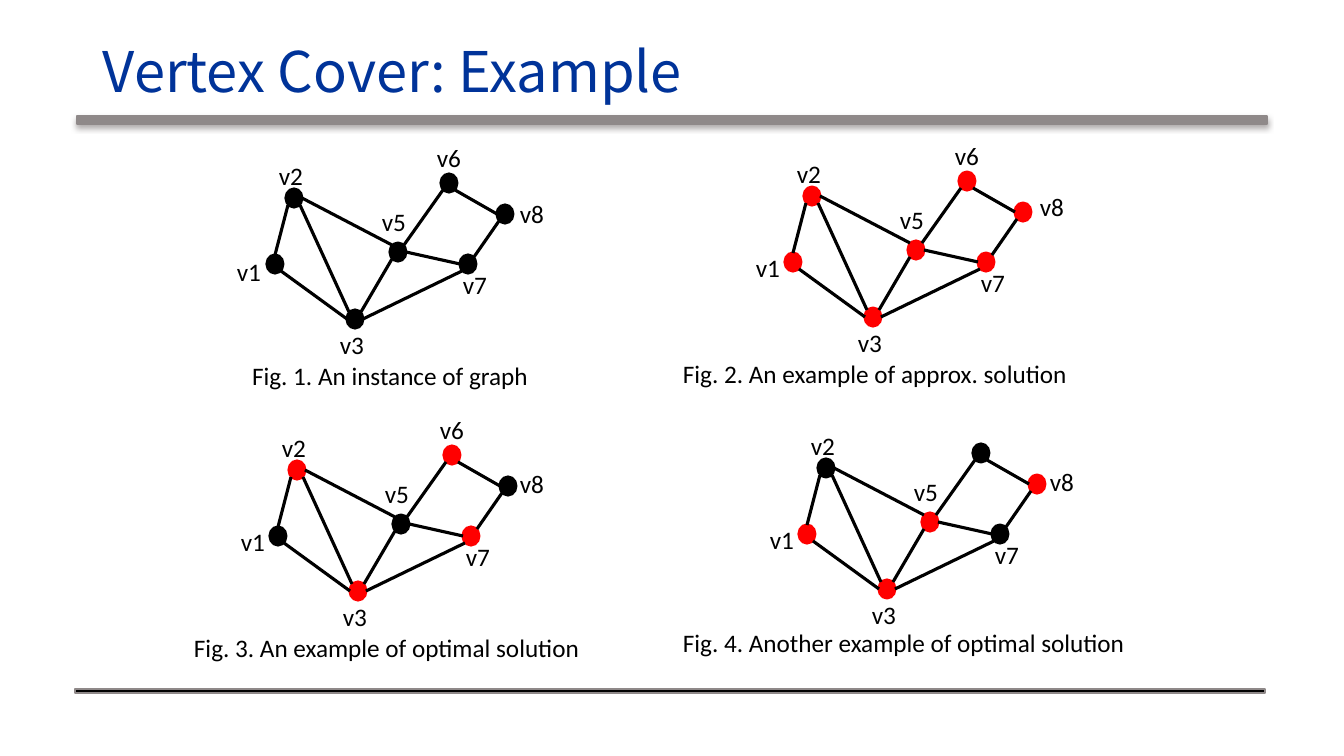
"""Build the slide that shows four vertex cover figures of one graph."""
from dataclasses import dataclass
from typing import NamedTuple

from lxml.etree import SubElement
from pptx import Presentation
from pptx.dml.color import RGBColor
from pptx.enum.shapes import MSO_CONNECTOR as Connector, MSO_SHAPE as Preset
from pptx.enum.text import MSO_ANCHOR as Anchor, PP_ALIGN as Align
from pptx.oxml.ns import qn
from pptx.shapes.autoshape import Shape
from pptx.util import Emu, Pt

EMU_PER_PIXEL = 914400 / 100.8
BLACK, RED, GREY, NAVY, SHADOW = "000000", "FF0000", "8F8989", "003399", "AFABAB"
NODE_WIDTH, NODE_HEIGHT = 17, 19


class Point(NamedTuple):
    x: int
    y: int

    def shifted(self, offset: "Point") -> "Point":
        return Point(self.x + offset.x, self.y + offset.y)


class Edge(NamedTuple):
    start: str
    start_site: str
    end: str
    end_site: str


@dataclass(frozen=True)
class Figure:
    origin: Point
    cover: set[str]
    labels: dict[str, Point]
    caption: str
    caption_at: Point
    caption_width: int
    align: Align = Align.LEFT


NODES = {
    "v1": Point(-19, 66), "v2": Point(0, 0), "v3": Point(61, 121), "v5": Point(104, 54),
    "v6": Point(155, -15), "v7": Point(174, 66), "v8": Point(211, 16),
}
SITES = {
    "top": Point(0, -9), "left": Point(-8, 0), "right": Point(8, 0),
    "top left": Point(-6, -7), "top right": Point(6, -7),
    "bottom left": Point(-6, 7), "bottom right": Point(6, 7),
}
EDGES = [
    Edge("v2", "right", "v5", "top left"),
    Edge("v2", "bottom left", "v1", "top"),
    Edge("v1", "bottom right", "v3", "left"),
    Edge("v5", "bottom left", "v3", "top right"),
    Edge("v2", "bottom right", "v3", "top left"),
    Edge("v3", "right", "v7", "bottom left"),
    Edge("v5", "right", "v7", "left"),
    Edge("v5", "top right", "v6", "bottom left"),
    Edge("v6", "bottom right", "v8", "left"),
    Edge("v8", "bottom left", "v7", "top right"),
]
SHARED_LABELS = {
    "v2": Point(-25, -43), "v3": Point(36, 126), "v5": Point(78, 3), "v7": Point(159, 66),
}
V6_LABEL = {"v6": Point(133, -61)}
FIGURES = [
    Figure(Point(294, 198), set(),
           {"v1": Point(-67, 53), "v8": Point(216, -5)} | V6_LABEL,
           "Fig. 1. An instance of graph", Point(191, 355), 398, Align.CENTER),
    Figure(Point(812, 196), set(NODES),
           {"v1": Point(-66, 51), "v8": Point(218, -10)} | V6_LABEL,
           "Fig. 2. An example of approx. solution", Point(673, 353), 418),
    Figure(Point(297, 470), {"v2", "v3", "v6", "v7"},
           {"v1": Point(-66, 51), "v8": Point(213, -7)} | V6_LABEL,
           "Fig. 3. An example of optimal solution", Point(184, 627), 418),
    Figure(Point(826, 468), {"v1", "v3", "v5", "v8"},
           {"v1": Point(-66, 51), "v8": Point(214, -7)},
           "Fig. 4. Another example of optimal solution", Point(673, 622), 490),
]


def px(pixels: float) -> Emu:
    return Emu(round(pixels * EMU_PER_PIXEL))


def rgb(color: str) -> RGBColor:
    return RGBColor.from_string(color)


def add_text(text: str, at: Point, width: int, height: int = 40, *, size: int = 18,
             font: str = "Calibri", color: str = BLACK, align: Align = Align.LEFT,
             anchor: Anchor = Anchor.TOP, spacing: float = 1.0) -> None:
    frame = slide.shapes.add_textbox(px(at.x), px(at.y), px(width), px(height)).text_frame
    frame.word_wrap = True
    frame.vertical_anchor = anchor
    paragraph = frame.paragraphs[0]
    paragraph.alignment = align
    paragraph.line_spacing = spacing
    run = paragraph.add_run()
    run.text = text
    run.font.size = Pt(size)
    run.font.name = font
    run.font.color.rgb = rgb(color)
    east_asian = SubElement(run.font._element, qn("a:ea"))
    east_asian.set("typeface", font)


def add_solid(preset: Preset, at: Point, width: int, height: int, *,
              fill: str, line: str, weight: float) -> Shape:
    shape = slide.shapes.add_shape(preset, px(at.x), px(at.y), px(width), px(height))
    shape.shadow.inherit = False
    shape.fill.solid()
    shape.fill.fore_color.rgb = rgb(fill)
    shape.line.color.rgb = rgb(line)
    shape.line.width = Pt(weight)
    return shape


def add_drop_shadow(shape: Shape) -> None:
    effects = shape._element.spPr.find(qn("a:effectLst"))
    shadow = SubElement(effects, qn("a:outerShdw"), blurRad=str(Pt(4)), dist=str(Pt(2)),
                        dir="5400000", algn="t", rotWithShape="0")
    SubElement(shadow, qn("a:srgbClr"), val=SHADOW)


def add_edge(start: Point, end: Point) -> None:
    connector = slide.shapes.add_connector(
        Connector.STRAIGHT, px(start.x), px(start.y), px(end.x), px(end.y))
    connector.line.color.rgb = rgb(BLACK)
    connector.line.width = Pt(2.25)
    SubElement(connector._element.spPr, qn("a:effectLst"))


def add_figure(figure: Figure) -> None:
    centers = {name: figure.origin.shifted(offset) for name, offset in NODES.items()}
    for name, center in centers.items():
        color = RED if name in figure.cover else BLACK
        corner = Point(center.x - NODE_WIDTH / 2, center.y - NODE_HEIGHT / 2)
        add_solid(Preset.OVAL, corner, NODE_WIDTH, NODE_HEIGHT,
                  fill=color, line=color, weight=1.5)
    for edge in EDGES:
        add_edge(centers[edge.start].shifted(SITES[edge.start_site]),
                 centers[edge.end].shifted(SITES[edge.end_site]))
    for name, offset in (SHARED_LABELS | figure.labels).items():
        add_text(name, figure.origin.shifted(offset), 50)
    add_text(figure.caption, figure.caption_at, figure.caption_width, align=figure.align)


presentation = Presentation()
presentation.slide_width, presentation.slide_height = px(1344), px(756)
slide = presentation.slides.add_slide(presentation.slide_layouts[6])

title_bar = add_solid(Preset.RECTANGLE, Point(77, 116), 1190, 8,
                      fill=GREY, line=GREY, weight=1)
add_drop_shadow(title_bar)
add_solid(Preset.RECTANGLE, Point(75, 689), 1190, 4, fill=BLACK, line=GREY, weight=1)
add_text("Vertex Cover: Example", Point(93, 25), 1129, 99, size=40,
         font="Noto Sans CJK SC", color=NAVY, anchor=Anchor.MIDDLE, spacing=0.9)
for figure in FIGURES:
    add_figure(figure)

presentation.save("out.pptx")
